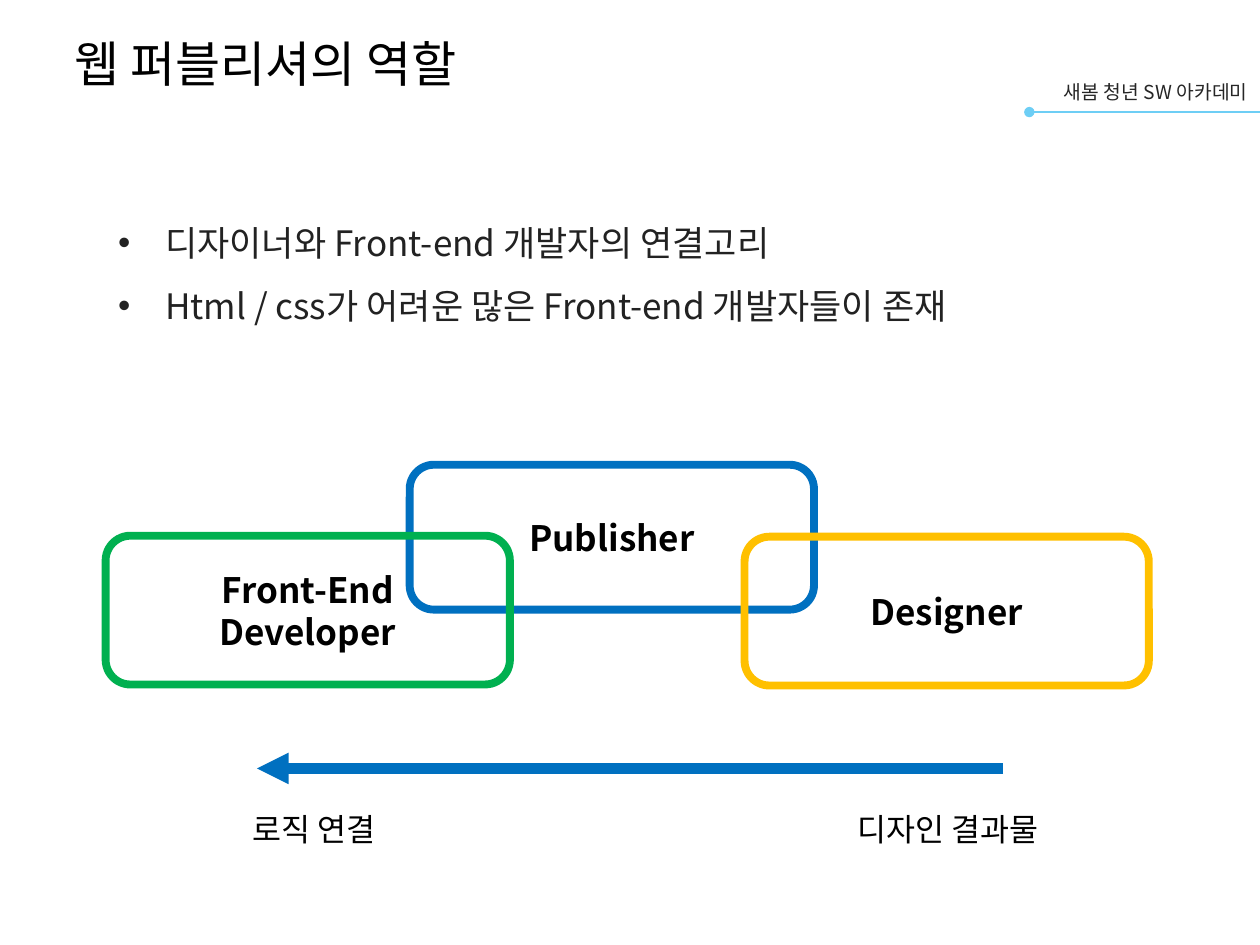
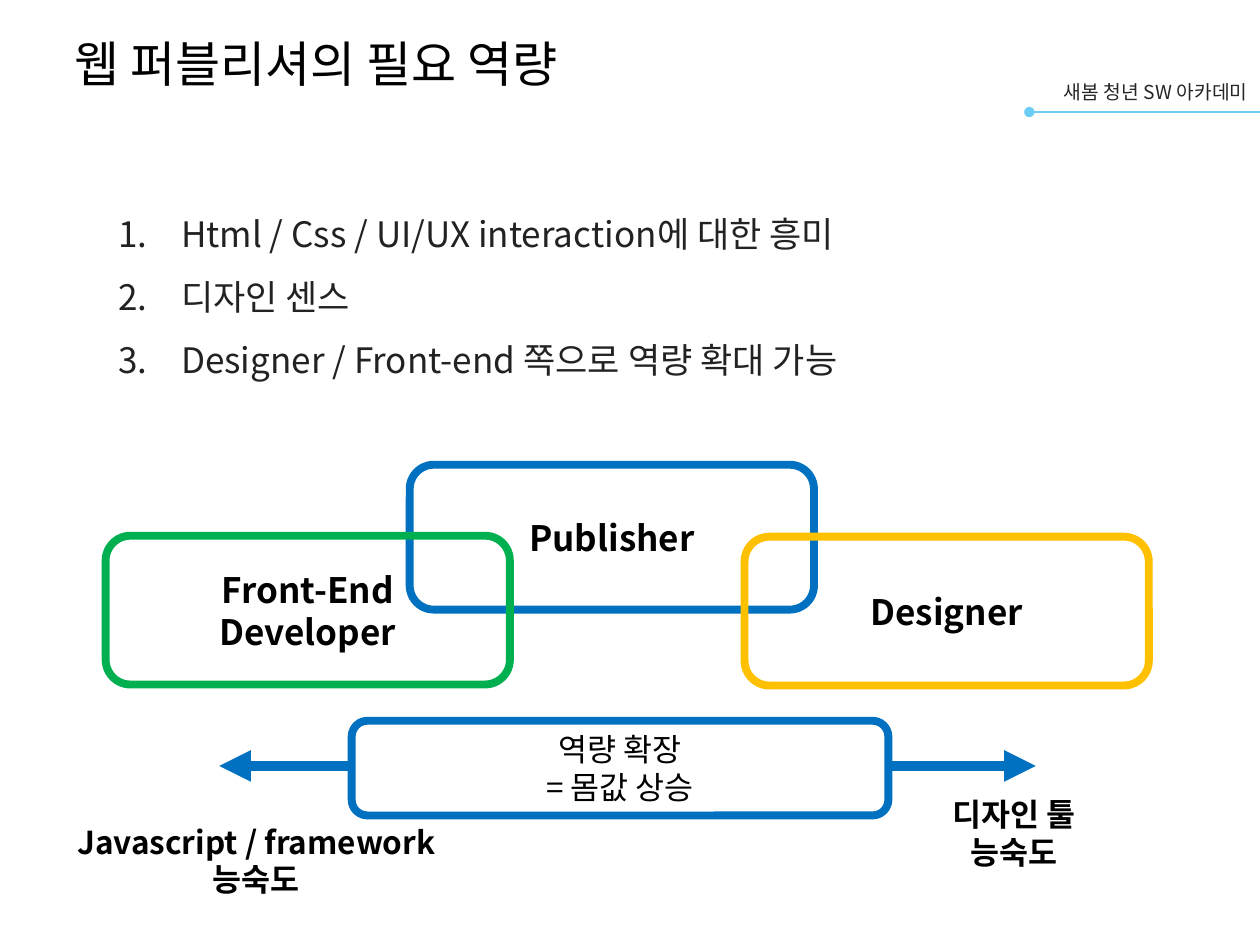
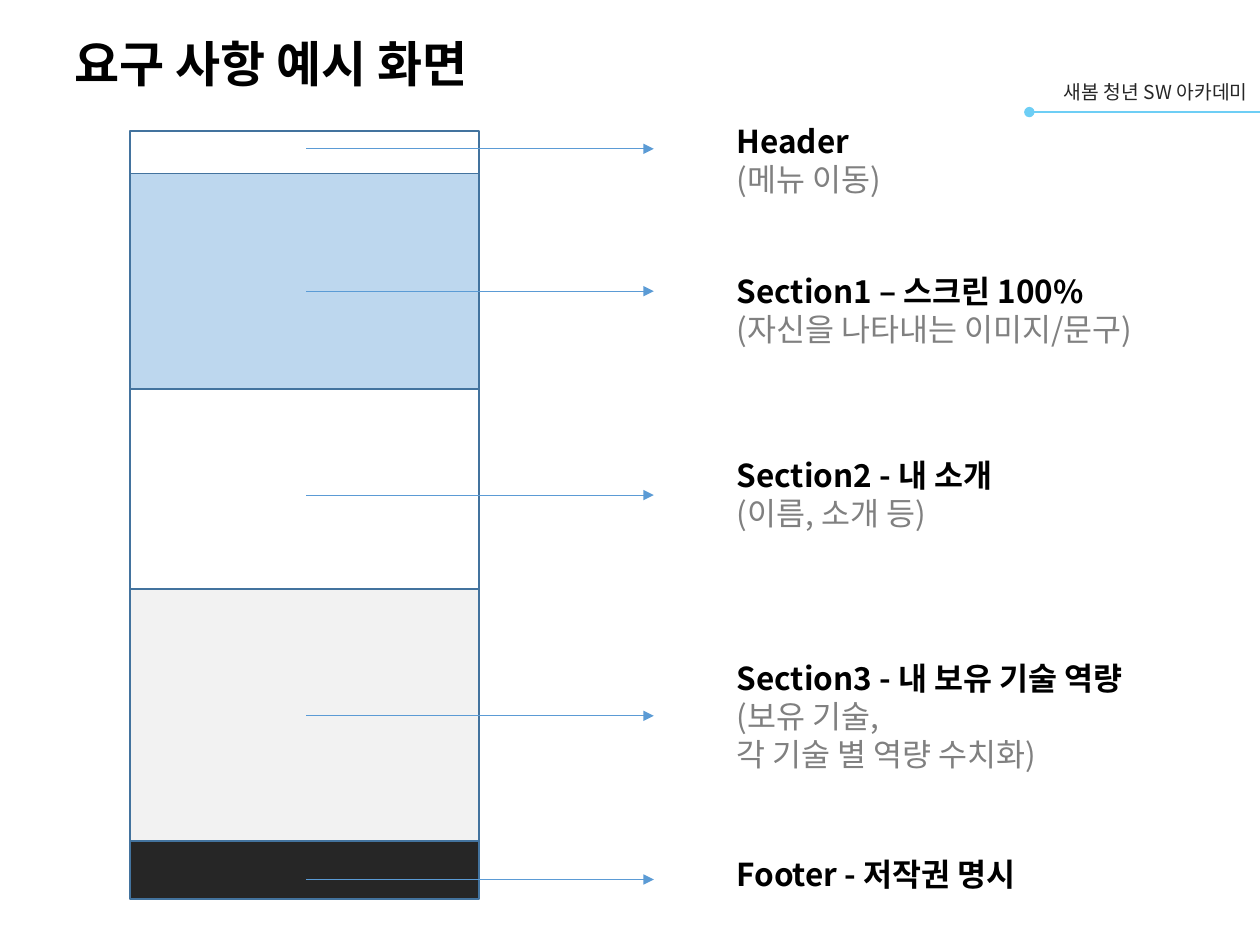
from dataclasses import dataclass
from itertools import accumulate

from lxml.etree import SubElement
from pptx import Presentation
from pptx.dml.color import RGBColor
from pptx.enum.shapes import MSO_CONNECTOR, MSO_SHAPE
from pptx.enum.text import MSO_ANCHOR, MSO_AUTO_SIZE, PP_ALIGN
from pptx.oxml import parse_xml
from pptx.oxml.ns import nsdecls, qn
from pptx.presentation import Presentation as Deck
from pptx.slide import Slide
from pptx.text.text import TextFrame
from pptx.util import Cm, Pt

FONT = "Noto Sans CJK KR"
COLORS = {
    "black": "000000",
    "white": "FFFFFF",
    "list": "222222",
    "charcoal": "262626",
    "note": "808080",
    "header": "6DCEF5",
    "blue": "0070C0",
    "green": "00B050",
    "yellow": "FFC000",
    "band_line": "43739E",
    "callout": "5B9BD5",
    "pale_blue": "BDD7EE",
    "pale_gray": "F2F2F2",
}


@dataclass(frozen=True)
class Area:
    """A rectangle in centimetres."""
    left: float
    top: float
    width: float
    height: float

    def lengths(self) -> tuple[Cm, Cm, Cm, Cm]:
        return Cm(self.left), Cm(self.top), Cm(self.width), Cm(self.height)


@dataclass(frozen=True)
class TextStyle:
    size: float
    color: str = "black"
    bold: bool = False
    align: PP_ALIGN = PP_ALIGN.LEFT


@dataclass(frozen=True)
class Arrow:
    """A straight line in centimetres, with optional end marks."""
    start_x: float
    end_x: float
    y: float
    color: str
    width: float
    head: str = ""
    tail: str = ""


@dataclass(frozen=True)
class Frame:
    """A bordered shape holding centred lines of text."""
    area: Area
    line: str
    lines: tuple[str, ...] = ()
    style: TextStyle = TextStyle(20, bold=True, align=PP_ALIGN.CENTER)
    fill: str = ""
    line_width: float = 4.5
    kind: MSO_SHAPE = MSO_SHAPE.ROUNDED_RECTANGLE


@dataclass(frozen=True)
class Callout:
    """A heading with gray notes, and the height of its arrow."""
    area: Area
    arrow_y: float
    heading: str
    notes: tuple[str, ...] = ()


@dataclass(frozen=True)
class Band:
    height: float
    fill: str


LABEL = TextStyle(18, align=PP_ALIGN.CENTER)
BOLD_LABEL = TextStyle(18, bold=True, align=PP_ALIGN.CENTER)
LIST = TextStyle(20, "list")
HEADING = TextStyle(18, bold=True)
NOTE = TextStyle(18, "note")

ROLES = (
    Frame(Area(8.26, 9.37, 8.15, 2.92), "blue", ("Publisher",)),
    Frame(Area(2.13, 10.8, 8.15, 3), "green", ("Front-End", "Developer")),
    Frame(Area(15.01, 10.82, 8.15, 3), "yellow", ("Designer",)),
)
BAND_LEFT, BAND_TOP, BAND_WIDTH = 2.62, 2.64, 7.04
BANDS = (
    Band(0.86, "white"),
    Band(4.34, "pale_blue"),
    Band(4.04, "white"),
    Band(5.08, "pale_gray"),
    Band(1.17, "charcoal"),
)
CALLOUTS = (
    Callout(Area(14.6, 2.34, 7.34, 1.8), 3, "Header", ("(메뉴 이동)",)),
    Callout(Area(14.6, 5.36, 10.06, 1.8), 5.87, "Section1 – 스크린 100%",
            ("(자신을 나타내는 이미지/문구)",)),
    Callout(Area(14.6, 9.07, 10.06, 1.8), 9.98, "Section2 - 내 소개",
            ("(이름, 소개 등)",)),
    Callout(Area(14.6, 13.16, 10.46, 2.57), 14.43, "Section3 - 내 보유 기술 역량",
            ("(보유 기술,", "각 기술 별 역량 수치화)")),
    Callout(Area(14.6, 17.12, 10.46, 1.02), 17.73, "Footer - 저작권 명시"),
)


def rgb(name: str) -> RGBColor:
    return RGBColor.from_string(COLORS[name])


def write(text_frame: TextFrame, lines: tuple[str, ...], *styles: TextStyle) -> None:
    """Write one paragraph a line; the last style serves all remaining lines."""
    for index, line in enumerate(lines):
        para = text_frame.paragraphs[0] if index == 0 else text_frame.add_paragraph()
        style = styles[min(index, len(styles) - 1)]
        para.alignment = style.align
        span = para.add_run()
        span.text = line
        span.font.name = FONT
        span.font.size = Pt(style.size)
        span.font.bold = style.bold
        span.font.color.rgb = rgb(style.color)
        SubElement(span.font._element, qn("a:ea"), typeface=FONT)


def add_text(page: Slide, area: Area, lines: tuple[str, ...], *styles: TextStyle) -> TextFrame:
    text_frame = page.shapes.add_textbox(*area.lengths()).text_frame
    text_frame.word_wrap = True
    text_frame.auto_size = MSO_AUTO_SIZE.SHAPE_TO_FIT_TEXT
    write(text_frame, lines, *styles)
    return text_frame


def add_list(page: Slide, area: Area, lines: tuple[str, ...], indent: float,
             marker: str, **marker_attributes: str) -> None:
    text_frame = add_text(page, area, lines, LIST)
    for para in text_frame.paragraphs:
        properties = para._p.get_or_add_pPr()
        properties.set("marL", str(Cm(indent)))
        properties.set("indent", str(-Cm(indent)))
        SubElement(properties, qn("a:buFont"), typeface="Arial")
        SubElement(properties, qn(marker), **marker_attributes)
        para.line_spacing = 1.5


def add_arrow(page: Slide, arrow: Arrow) -> None:
    line = page.shapes.add_connector(
        MSO_CONNECTOR.STRAIGHT,
        Cm(arrow.start_x), Cm(arrow.y), Cm(arrow.end_x), Cm(arrow.y))
    line.line.color.rgb = rgb(arrow.color)
    line.line.width = Pt(arrow.width)
    outline = line.line._get_or_add_ln()
    for tag, mark in (("a:headEnd", arrow.head), ("a:tailEnd", arrow.tail)):
        if mark:
            SubElement(outline, qn(tag), type=mark)
    SubElement(line._element.spPr, qn("a:effectLst"))


def add_frame(page: Slide, frame: Frame) -> None:
    shape = page.shapes.add_shape(frame.kind, *frame.area.lengths())
    shape.shadow.inherit = False
    if frame.fill:
        shape.fill.solid()
        shape.fill.fore_color.rgb = rgb(frame.fill)
    else:
        shape.fill.background()
    shape.line.color.rgb = rgb(frame.line)
    shape.line.width = Pt(frame.line_width)
    shape.text_frame.vertical_anchor = MSO_ANCHOR.MIDDLE
    write(shape.text_frame, frame.lines, frame.style)


def add_page(deck: Deck, title: str, bold: bool = False) -> Slide:
    """Add a slide with its title and the academy header."""
    page = deck.slides.add_slide(deck.slide_layouts[5])
    box = page.shapes.title
    box.left, box.top, box.width, box.height = Area(1.24, 0.36, 21.89, 1.83).lengths()
    box.text_frame.vertical_anchor = MSO_ANCHOR.MIDDLE
    box.text_frame.auto_size = MSO_AUTO_SIZE.NONE
    write(box.text_frame, (title,), TextStyle(28, bold=bold))
    span = box.text_frame.paragraphs[0].runs[0]
    span.font._element.insert(0, parse_xml(
        f'<a:ln {nsdecls("a")} w="{Pt(0.75)}"><a:solidFill>'
        f'<a:srgbClr val="{COLORS["black"]}"/></a:solidFill></a:ln>'))
    add_arrow(page, Arrow(20.75, 25.4, 2.26, "header", 1, head="oval"))
    add_text(page, Area(20.75, 1.5, 4.65, 0.74), ("새봄 청년 SW 아카데미",),
             TextStyle(11, "charcoal", align=PP_ALIGN.RIGHT))
    return page


def add_roles(page: Slide) -> None:
    for role in ROLES:
        add_frame(page, role)


def build_role_page(deck: Deck) -> None:
    page = add_page(deck, "웹 퍼블리셔의 역할")
    add_roles(page)
    add_list(page, Area(2.13, 3.91, 20.88, 2.82),
             ("디자이너와 Front-end 개발자의 연결고리",
              "Html / css가 어려운 많은 Front-end 개발자들이 존재"),
             0.95, "a:buChar", char="•")
    add_arrow(page, Arrow(20.22, 5.18, 15.49, "blue", 6, tail="triangle"))
    add_text(page, Area(4.85, 16.21, 5.41, 1.02), ("로직 연결",), TextStyle(18))
    add_text(page, Area(16.41, 16.21, 5.41, 1.02), ("디자인 결과물",), LABEL)


def build_skill_page(deck: Deck) -> None:
    page = add_page(deck, "웹 퍼블리셔의 필요 역량")
    add_roles(page)
    add_list(page, Area(2.13, 3.73, 20.88, 4.11),
             ("Html / Css / UI/UX interaction에 대한 흥미",
              "디자인 센스",
              "Designer / Front-end 쪽으로 역량 확대 가능"),
             1.27, "a:buAutoNum", type="arabicPeriod")
    add_arrow(page, Arrow(4.42, 20.88, 15.44, "blue", 6, "triangle", "triangle"))
    add_text(page, Area(1.04, 16.46, 8.26, 1.8),
             ("Javascript / framework", "능숙도"), BOLD_LABEL)
    add_text(page, Area(16.31, 15.9, 8.26, 1.8), ("디자인 툴", "능숙도"), BOLD_LABEL)
    add_frame(page, Frame(Area(7.09, 14.53, 10.82, 1.91), "blue",
                          ("역량 확장", "= 몸값 상승"), LABEL, "white"))


def build_example_page(deck: Deck) -> None:
    page = add_page(deck, "요구 사항 예시 화면", bold=True)
    tops = accumulate((band.height for band in BANDS), initial=BAND_TOP)
    for band, top in zip(BANDS, tops):
        add_frame(page, Frame(Area(BAND_LEFT, top, BAND_WIDTH, band.height), "band_line",
                              fill=band.fill, line_width=1, kind=MSO_SHAPE.RECTANGLE))
    for callout in CALLOUTS:
        add_arrow(page, Arrow(6.17, 13.18, callout.arrow_y, "callout", 0.5, tail="triangle"))
        add_text(page, callout.area, (callout.heading, *callout.notes), HEADING, NOTE)


def main() -> None:
    deck = Presentation()
    deck.slide_width, deck.slide_height = Cm(25.4), Cm(19.05)
    build_role_page(deck)
    build_skill_page(deck)
    build_example_page(deck)
    deck.save("out.pptx")


if __name__ == "__main__":
    main()
